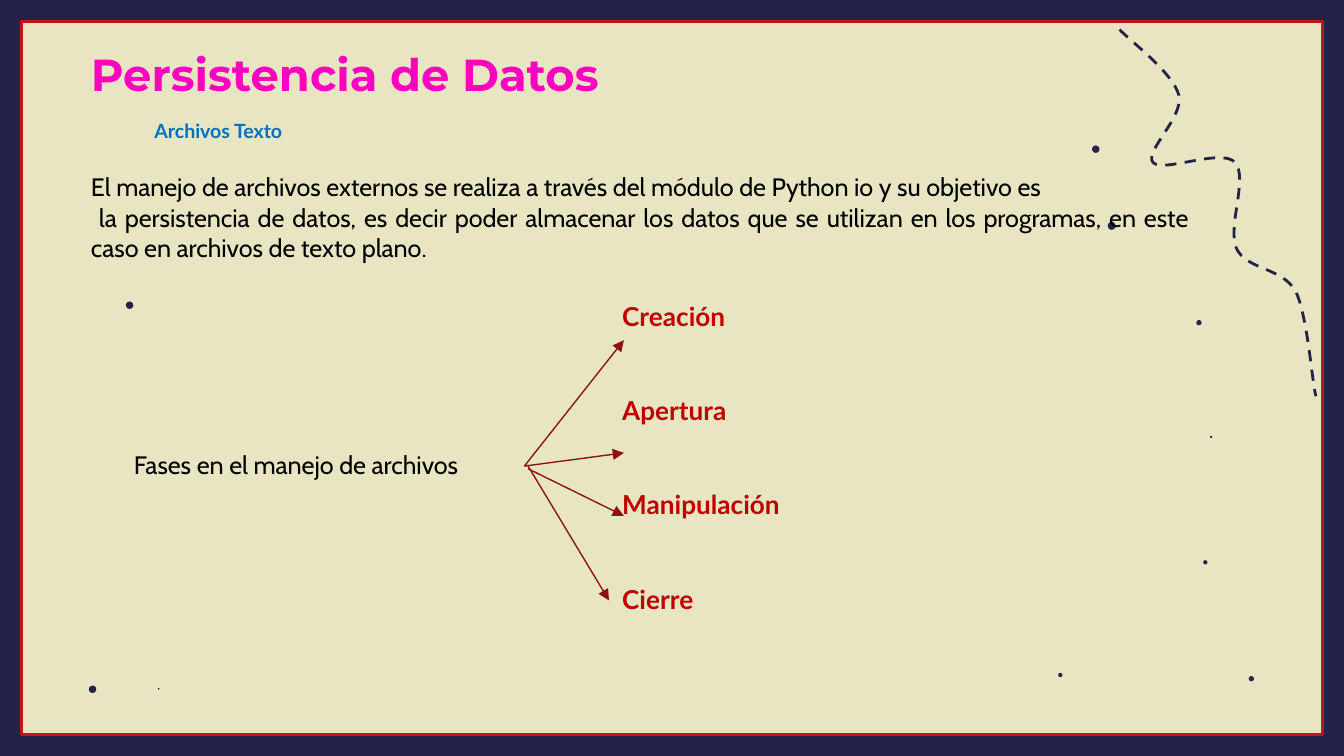
from pptx import Presentation
from pptx import util as u
from pptx.dml.color import RGBColor
from pptx.enum import dml, shapes, text
from pptx.oxml.ns import qn
from lxml import etree

CREAM = RGBColor(0xE8, 0xE5, 0xC3)
NAVY = RGBColor(0x23, 0x23, 0x47)
FRAME_RED = RGBColor(0xBD, 0x17, 0x17)
ARROW_RED = RGBColor(0x8E, 0x11, 0x11)
PHASE_RED = RGBColor(0xC0, 0x00, 0x00)
MAGENTA = RGBColor(0xFF, 0x00, 0xC1)
BLUE = RGBColor(0x00, 0x70, 0xC0)
BLACK = RGBColor(0x00, 0x00, 0x00)

WIDTH, HEIGHT, BORDER = 25.4, 14.29, 0.41

TRAIL_START = (21.16, 0.56)
TRAIL_CURVES = [
    ((21.34, 0.76), (22.17, 1.37), (22.28, 1.80)),
    ((22.38, 2.21), (21.62, 2.87), (21.79, 3.07)),
    ((21.97, 3.28), (23.09, 2.79), (23.34, 3.07)),
    ((23.60, 3.35), (23.19, 4.29), (23.37, 4.70)),
    ((23.57, 5.11), (24.23, 5.05), (24.49, 5.51)),
    ((24.71, 5.97), (24.79, 7.16), (24.87, 7.49)),
]
DOTS = [
    (1.75, 13.03, 0.14), (2.45, 5.77, 0.14), (22.78, 10.63, 0.08),
    (23.65, 12.83, 0.10), (22.66, 6.10, 0.10), (20.04, 12.76, 0.08),
    (3.00, 13.02, 0.03), (22.89, 8.26, 0.04), (21.01, 4.27, 0.15),
    (20.71, 2.82, 0.14),
]
ARROWS = [
    ((9.91, 8.81), (11.79, 6.43)),
    ((9.91, 8.81), (11.79, 8.56)),
    ((9.98, 8.86), (11.79, 9.75)),
    ((9.98, 8.81), (11.51, 11.35)),
]

TITLE = ("Montserrat", 24, MAGENTA, True)
SUBTITLE = ("Lato", 10.5, BLUE, True)
BODY = ("Cabin", 13.5, BLACK, False)
PHASE = ("Lato", 14, PHASE_RED, True)
PHASE_GAP = 33.6


def add_filled(slide, kind, left, top, width, height):
    figure = slide.shapes.add_shape(kind, u.Cm(left), u.Cm(top), u.Cm(width), u.Cm(height))
    figure.shadow.inherit = False
    figure.fill.solid()
    figure.fill.fore_color.rgb = NAVY
    figure.line.fill.background()
    return figure


def add_border(slide):
    rectangle = shapes.MSO_SHAPE.RECTANGLE
    for top in (0, HEIGHT - BORDER):
        add_filled(slide, rectangle, 0, top, WIDTH, BORDER)
    for left in (0, WIDTH - BORDER):
        add_filled(slide, rectangle, left, 0, BORDER, HEIGHT)
    frame = add_filled(slide, rectangle, BORDER, BORDER,
                       WIDTH - 2 * BORDER, HEIGHT - 2 * BORDER)
    frame.fill.background()
    frame.line.color.rgb = FRAME_RED
    frame.line.width = u.Pt(1.5)


def add_dot(slide, x, y, diameter):
    add_filled(slide, shapes.MSO_SHAPE.OVAL, x - diameter / 2, y - diameter / 2,
               diameter, diameter)


def curve_points(start, curve, steps=16):
    for step in range(1, steps + 1):
        t = step / steps
        weights = ((1 - t) ** 3, 3 * t * (1 - t) ** 2, 3 * t * t * (1 - t), t ** 3)
        corners = (start, *curve)
        yield tuple(u.Cm(sum(w * c[axis] for w, c in zip(weights, corners)))
                    for axis in (0, 1))


def add_trail(slide):
    start = TRAIL_START
    builder = slide.shapes.build_freeform(u.Cm(start[0]), u.Cm(start[1]))
    for curve in TRAIL_CURVES:
        builder.add_line_segments(list(curve_points(start, curve)), close=False)
        start = curve[-1]
    trail = builder.convert_to_shape()
    trail.shadow.inherit = False
    trail.fill.background()
    trail.line.color.rgb = NAVY
    trail.line.width = u.Pt(1.5)
    trail.line.dash_style = dml.MSO_LINE.DASH


def add_arrow(slide, start, end):
    arrow = slide.shapes.add_connector(
        shapes.MSO_CONNECTOR.STRAIGHT, *(u.Cm(value) for value in (*start, *end)))
    arrow.line.color.rgb = ARROW_RED
    arrow.line.width = u.Pt(0.75)
    outline = arrow.line._get_or_add_ln()
    etree.SubElement(outline, qn("a:tailEnd"), type="triangle")
    etree.SubElement(arrow._element.spPr, qn("a:effectLst"))


def add_text(slide, box, paragraphs, align=text.PP_ALIGN.JUSTIFY, gap=0):
    frame = slide.shapes.add_textbox(*(u.Cm(value) for value in box)).text_frame
    frame.word_wrap = True
    for index, runs in enumerate(paragraphs):
        paragraph = frame.add_paragraph() if index else frame.paragraphs[0]
        paragraph.alignment = align
        if index and gap:
            paragraph.space_before = u.Pt(gap)
        for words, (font, size, color, bold) in runs:
            run = paragraph.add_run()
            run.text = words
            run.font.name = font
            run.font.size = u.Pt(size)
            run.font.color.rgb = color
            run.font.bold = bold


def main():
    deck = Presentation()
    deck.slide_width, deck.slide_height = u.Cm(WIDTH), u.Cm(HEIGHT)
    slide = deck.slides.add_slide(deck.slide_layouts[6])
    slide.background.fill.solid()
    slide.background.fill.fore_color.rgb = CREAM

    add_border(slide)
    add_trail(slide)
    for dot in DOTS:
        add_dot(slide, *dot)

    add_text(slide, (2.67, 2.13, 10.85, 0.71), [[("Archivos Texto", SUBTITLE)]])
    add_text(slide, (1.47, 0.76, 14.25, 2.31), [[("Persistencia de Datos", TITLE)]],
             align=text.PP_ALIGN.LEFT)
    add_text(slide, (1.47, 3.12, 21.26, 1.98), [
        [("El manejo de archivos externos se realiza a través del módulo de Python io "
          "y su objetivo es", BODY)],
        [(" la persistencia de datos, es decir poder almacenar los datos que se utilizan "
          "en los programas, en este caso en archivos de texto plano.", BODY)],
    ])
    add_text(slide, (2.16, 8.36, 10.8, 0.86),
             [[(" ", PHASE), ("Fases en el manejo de archivos", BODY)]])
    phases = ["Creación", "Apertura", "Manipulación", "Cierre"]
    add_text(slide, (11.51, 5.56, 10.8, 7.95),
             [[(phase, PHASE)] for phase in phases], gap=PHASE_GAP)
    for start, end in ARROWS:
        add_arrow(slide, start, end)

    deck.save("out.pptx")


if __name__ == "__main__":
    main()
